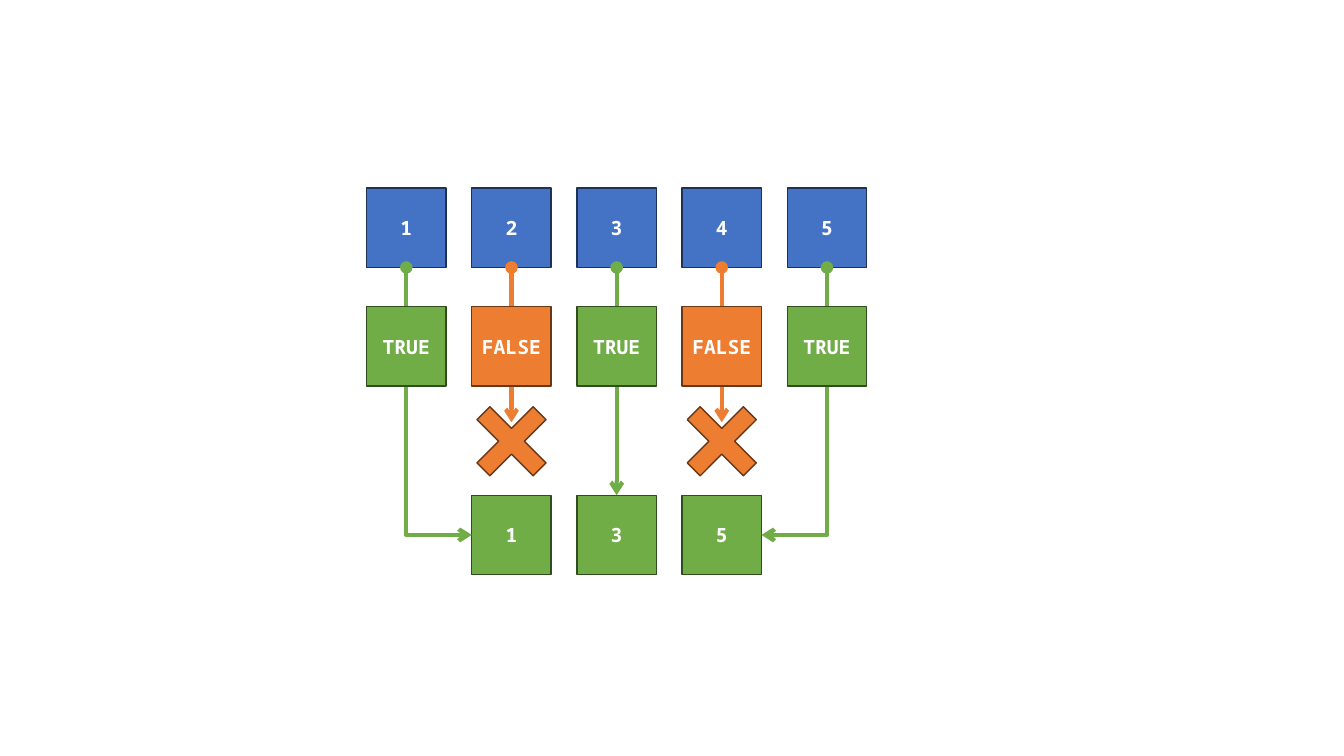
from dataclasses import dataclass
from lxml import etree
from pptx import Presentation
from pptx import util as u
from pptx.dml.color import RGBColor
from pptx.enum import shapes, text
from pptx.oxml.ns import qn


@dataclass(frozen=True)
class Theme:
    """Colours as (fill, outline) pairs, type and line sizes."""
    item: tuple = ("4472C4", "1E3256")
    keep: tuple = ("70AD47", "314C1F")
    drop: tuple = ("ED7D31", "683715")
    white: str = "FFFFFF"
    font: str = "Noto Sans Mono"
    size: int = 14
    outline: int = 1
    arrow: int = 3


T = Theme()
SIDE, PITCH = 2.0, 2.65
FLAGS = [True, False, True, False, True]
ITEM_Y, FLAG_Y, CROSS_Y, RESULT_Y = 0, 2.99, 5.38, 7.74
CROSS_TIP = 5.9


def assign(obj, values):
    """Set each attribute of an object from a dict."""
    for name, value in values.items():
        setattr(obj, name, value)


def add_tile(s, x, y, colors, label="", kind=shapes.MSO_SHAPE.RECTANGLE):
    """Draw a filled square shape with an optional centred label."""
    sp = s.shapes.add_shape(kind, *map(u.Cm, (x, y, SIDE, SIDE)))
    sp.shadow.inherit = False
    sp.fill.solid()
    sp.fill.fore_color.rgb = RGBColor.from_string(colors[0])
    sp.line.color.rgb = RGBColor.from_string(colors[1])
    sp.line.width = u.Pt(T.outline)
    if label:
        tf = sp.text_frame
        assign(tf, {"vertical_anchor": text.MSO_ANCHOR.MIDDLE, "word_wrap": True,
                    "margin_left": 0, "margin_right": 0})
        p = tf.paragraphs[0]
        p.alignment = text.PP_ALIGN.CENTER
        r = p.add_run()
        r.text = label
        assign(r.font, {"name": T.font, "size": u.Pt(T.size), "bold": True})
        r.font.color.rgb = RGBColor.from_string(T.white)
    return sp


def add_arrow(s, kind, x1, y1, x2, y2, colors):
    """Draw a connector with a dot at its start and an arrow at its end."""
    c = s.shapes.add_connector(kind, *map(u.Cm, (x1, y1, x2, y2)))
    c.line.color.rgb = RGBColor.from_string(colors[0])
    c.line.width = u.Pt(T.arrow)
    sp_pr = c._element.spPr
    ln = sp_pr.find(qn("a:ln"))
    for tag, end in (("a:headEnd", "oval"), ("a:tailEnd", "arrow")):
        etree.SubElement(ln, qn(tag)).set("type", end)
    etree.SubElement(sp_pr, qn("a:effectLst"))
    return c


def add_bent_arrow(s, x1, y1, x2, y2, colors):
    """Draw an arrow that runs down first and then sideways."""
    mid_x, mid_y = (x1 + x2) / 2, (y1 + y2) / 2
    half_w, half_h = (y2 - y1) / 2, abs(x2 - x1) / 2
    turn = -1 if x2 > x1 else 1
    c = add_arrow(s, shapes.MSO_CONNECTOR.ELBOW,
                  mid_x - turn * half_w, mid_y - half_h,
                  mid_x + turn * half_w, mid_y + half_h, colors)
    sp_pr = c._element.spPr
    sp_pr.find(qn("a:prstGeom")).set("prst", "bentConnector2")
    sp_pr.find(qn("a:xfrm")).set("rot", str(turn * 90 % 360 * 60000))


def add_row(s, x, y, labels, colors):
    """Draw a row of labelled tiles from the given corner."""
    for i, (label, pair) in enumerate(zip(labels, colors)):
        add_tile(s, x + i * PITCH, y, pair, label)


def add_cross(s, x, y):
    """Draw the cross that marks a dropped item."""
    cross = add_tile(s, x, y, T.drop, kind=shapes.MSO_SHAPE.CROSS)
    cross.adjustments[0] = 0.385
    cross.rotation = 45


def add_filter(s, x, y):
    """Draw the boolean filter diagram from the given corner."""
    items = [str(i + 1) for i in range(len(FLAGS))]
    kept = [item for item, flag in zip(items, FLAGS) if flag]
    flag_colors = [T.keep if flag else T.drop for flag in FLAGS]
    add_row(s, x, y + ITEM_Y, items, [T.item] * len(items))
    add_row(s, x + PITCH, y + RESULT_Y, kept, [T.keep] * len(kept))
    start, straight = y + ITEM_Y + SIDE, shapes.MSO_CONNECTOR.STRAIGHT
    last = len(FLAGS) - 1
    for i, flag in enumerate(FLAGS):
        left = x + i * PITCH
        mid = left + SIDE / 2
        if not flag:
            add_cross(s, left, y + CROSS_Y)
            add_arrow(s, straight, mid, start, mid, y + CROSS_TIP, T.drop)
        elif i in (0, last):
            end = left + PITCH if i == 0 else left - PITCH + SIDE
            add_bent_arrow(s, mid, start, end, y + RESULT_Y + SIDE / 2, T.keep)
        else:
            add_arrow(s, straight, mid, start, mid, y + RESULT_Y, T.keep)
    add_row(s, x, y + FLAG_Y, [str(flag).upper() for flag in FLAGS], flag_colors)


def main():
    """Build and save the slide."""
    prs = Presentation()
    assign(prs, {"slide_width": u.Cm(33.87), "slide_height": u.Cm(19.05)})
    s = prs.slides.add_slide(prs.slide_layouts[6])
    add_filter(s, 9.24, 4.74)
    prs.save("out.pptx")


if __name__ == "__main__":
    main()
